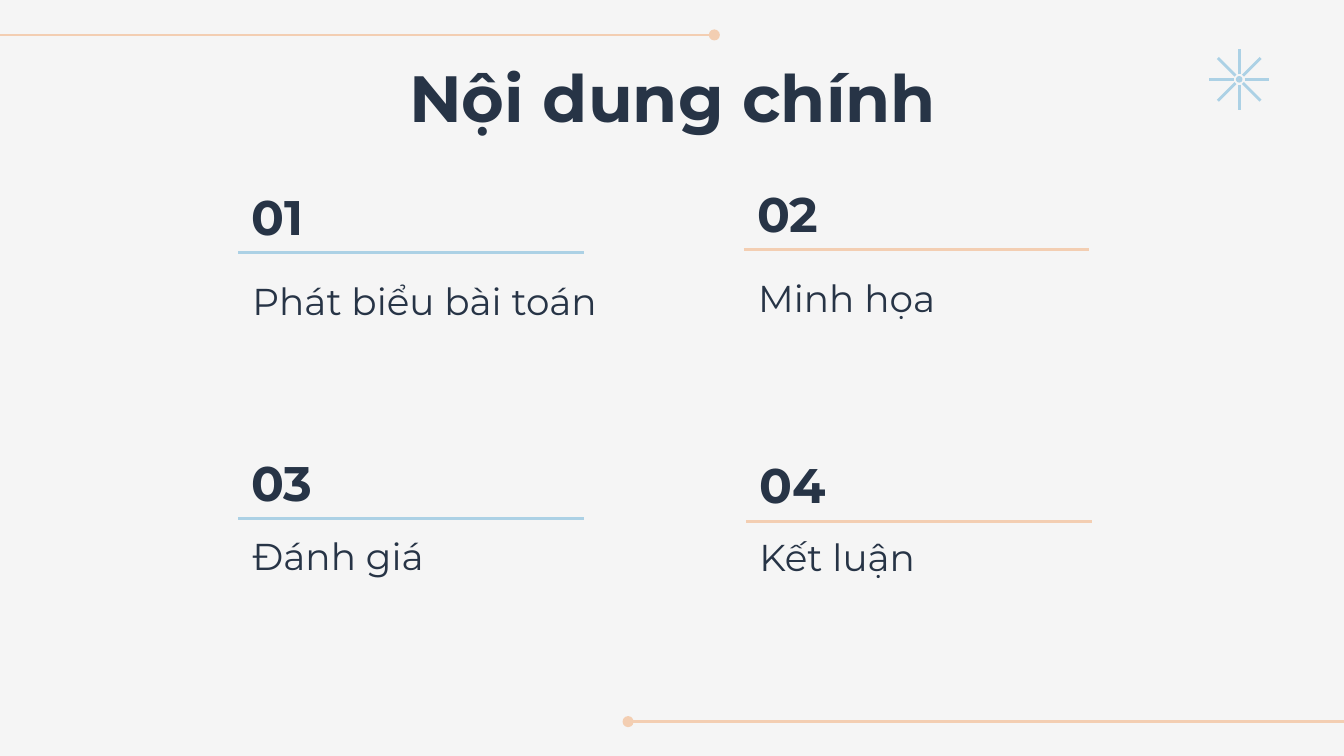
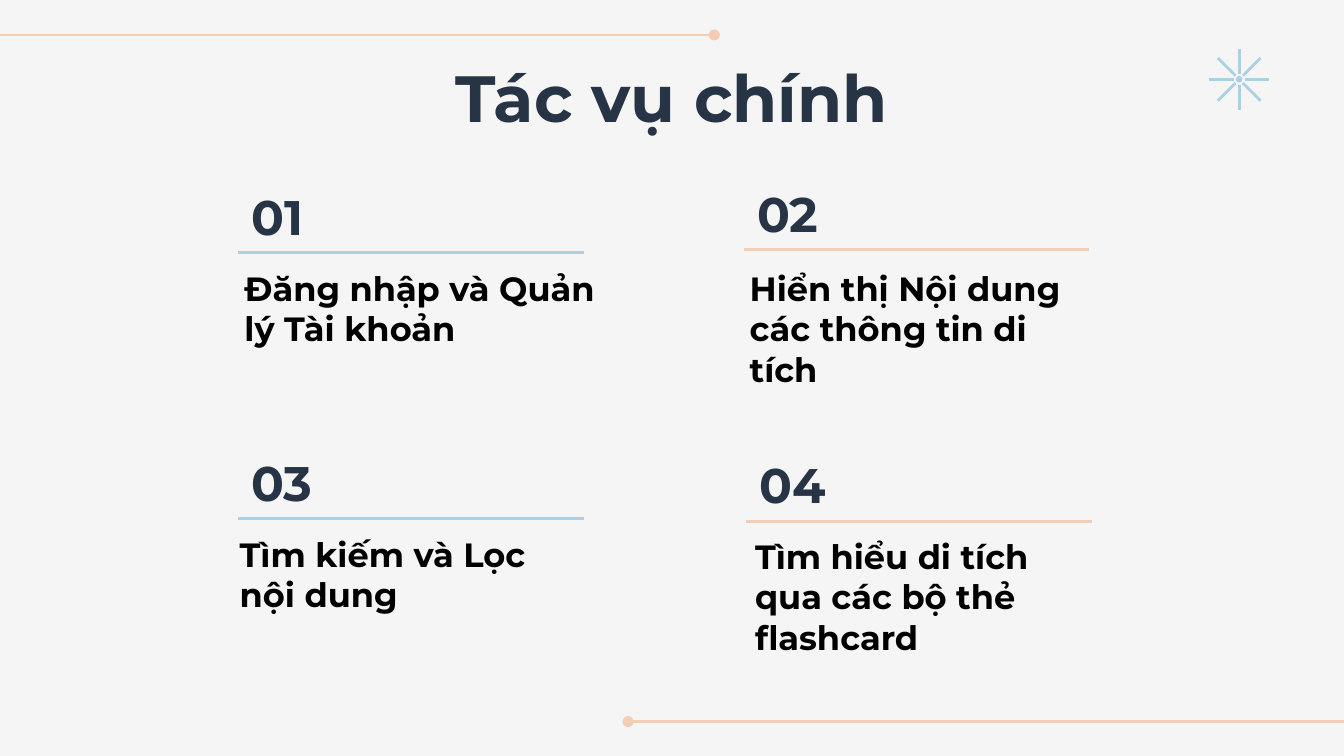
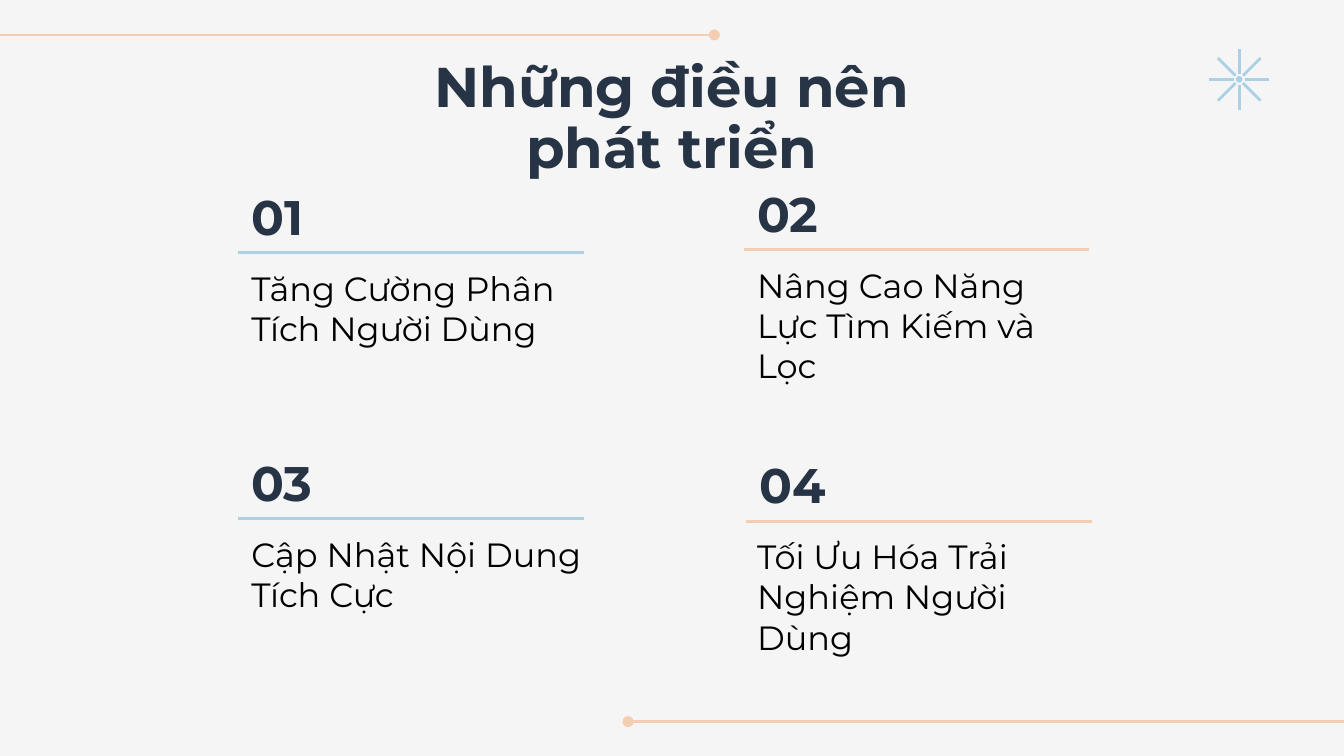
import math

import pptx
import pptx.dml.color
import pptx.enum.shapes
import pptx.enum.text
import pptx.oxml
import pptx.oxml.ns
import pptx.util

Cm = pptx.util.Cm
Pt = pptx.util.Pt
ANCHOR = pptx.enum.text.MSO_ANCHOR
ALIGN = pptx.enum.text.PP_ALIGN

FONT = "Montserrat"
PAPER, NAVY, BLACK = "F5F5F5", "273446", "000000"
PEACH, BLUE, CORAL = "F3CEB2", "ACD1E5", "FCA8A2"

RULES = [(4.5, 4.78, BLUE), (14.06, 4.72, PEACH), (4.5, 9.8, BLUE), (14.1, 9.85, PEACH)]
RULE_WIDTH = 6.53
NUMBER_RISE, NUMBER_SIZE = 1.45, (6.7, 1.65)
STAR_CENTRE, STAR_RAYS, STAR_INNER, STAR_OUTER = (23.42, 1.5), 8, 0.1, 0.57
STAR_DOT = 0.07

SLIDES = [
    {
        "title": ("Nội dung chính", 35, (7.14, 1.12, 11.15, 1.6)),
        "style": (20, NAVY, False),
        "items": [
            ("Phát biểu bài toán", (4.52, 5.05, 7.5, 1.3)),
            ("Minh họa", (14.08, 5.0, 6.8, 1.3)),
            ("Đánh giá", (4.52, 10.0, 6.93, 1.17)),
            ("Kết luận", (14.1, 10.03, 6.7, 1.17)),
        ],
    },
    {
        "title": ("Tác vụ chính", 35, (7.54, 1.12, 10.31, 1.6)),
        "style": (18, BLACK, True),
        "items": [
            ("Đăng nhập và Quản lý Tài khoản", (4.37, 4.78, 7.5, 2.06)),
            ("Hiển thị Nội dung các thông tin di tích", (13.92, 4.78, 6.8, 2.82)),
            ("Tìm kiếm và Lọc nội dung", (4.28, 9.8, 6.93, 2.06)),
            ("Tìm hiểu di tích qua các bộ thẻ flashcard", (14.02, 9.85, 6.8, 2.82)),
        ],
    },
    {
        "title": ("Những điều nên phát triển", 30, (7.54, 0.86, 10.31, 2.82)),
        "style": (18, BLACK, False),
        "items": [
            ("Tăng Cường Phân Tích Người Dùng", (4.5, 4.78, 7.5, 2.06)),
            ("Nâng Cao Năng Lực Tìm Kiếm và Lọc", (14.06, 4.72, 6.8, 2.82)),
            ("Cập Nhật Nội Dung Tích Cực", (4.5, 9.8, 6.93, 2.06)),
            ("Tối Ưu Hóa Trải Nghiệm Người Dùng", (14.06, 9.85, 6.7, 2.82)),
        ],
    },
]


def colour(value):
    """Turn a hex string into a colour."""
    return pptx.dml.color.RGBColor.from_string(value)


def add_line(slide, start, end, line_colour, oval_end=None):
    """Draw a line, with an oval at its headEnd or tailEnd if asked."""
    connector = slide.shapes.add_connector(
        pptx.enum.shapes.MSO_CONNECTOR.STRAIGHT, *map(Cm, (*start, *end)))
    connector.line.color.rgb = colour(line_colour)
    connector.line.width = Pt(1.5)
    properties = connector.element.spPr
    if oval_end:
        outline = properties.find(pptx.oxml.ns.qn("a:ln"))
        outline.append(pptx.oxml.parse_xml(
            f'<a:{oval_end} {pptx.oxml.ns.nsdecls("a")} type="oval"/>'))
    properties.append(pptx.oxml.parse_xml(f'<a:effectLst {pptx.oxml.ns.nsdecls("a")}/>'))


def write(shape, text, size, text_colour, bold, anchor, align=ALIGN.LEFT, spacing=1.0):
    """Fill a shape with one styled paragraph."""
    frame = shape.text_frame
    frame.text = text
    frame.word_wrap = True
    frame.auto_size = pptx.enum.text.MSO_AUTO_SIZE.NONE
    frame.vertical_anchor = anchor
    frame.margin_left = frame.margin_right = Cm(0.25)
    frame.margin_top = frame.margin_bottom = Cm(0.25)
    paragraph = frame.paragraphs[0]
    paragraph.alignment = align
    paragraph.line_spacing = spacing
    paragraph.space_before = Pt(0)
    paragraph.font.name = FONT
    paragraph.font.size = Pt(size)
    paragraph.font.bold = bold
    paragraph.font.color.rgb = colour(text_colour)


def add_decoration(slide):
    """Draw the two edge lines and the star."""
    add_line(slide, (0, 0.66), (13.5, 0.66), PEACH, "tailEnd")
    add_line(slide, (11.87, 13.64), (25.4, 13.64), PEACH, "headEnd")
    x, y = STAR_CENTRE
    for ray in range(STAR_RAYS):
        angle = 2 * math.pi * ray / STAR_RAYS
        start, end = [(x + radius * math.cos(angle), y + radius * math.sin(angle))
                      for radius in (STAR_INNER, STAR_OUTER)]
        add_line(slide, start, end, BLUE)
    dot = slide.shapes.add_shape(
        pptx.enum.shapes.MSO_SHAPE.OVAL, Cm(x - STAR_DOT / 2), Cm(y - STAR_DOT / 2),
        Cm(STAR_DOT), Cm(STAR_DOT))
    dot.shadow.inherit = False
    dot.fill.solid()
    dot.fill.fore_color.rgb = colour(CORAL)
    dot.line.color.rgb = colour(BLUE)
    dot.line.width = Pt(1.5)


def add_title(slide, text, size, box):
    """Place and format the title placeholder."""
    title = slide.shapes.title
    title.left, title.top, title.width, title.height = map(Cm, box)
    write(title, text, size, NAVY, True, ANCHOR.MIDDLE, ALIGN.CENTER, 0.9)


def add_items(slide, items, style):
    """Add the numbered items with their rules."""
    for number, ((text, box), (x, y, rule_colour)) in enumerate(zip(items, RULES), 1):
        heading = slide.shapes.add_textbox(*map(Cm, (x, y - NUMBER_RISE, *NUMBER_SIZE)))
        write(heading, f"{number:02}", 26, NAVY, True, ANCHOR.MIDDLE, spacing=0.9)
        label = slide.shapes.add_textbox(*map(Cm, box))
        write(label, text, *style, ANCHOR.BOTTOM)
        add_line(slide, (x, y), (x + RULE_WIDTH, y), rule_colour)


def main():
    """Build and save the presentation."""
    presentation = pptx.Presentation()
    presentation.slide_width, presentation.slide_height = Cm(25.4), Cm(14.29)
    background = presentation.slide_master.background.fill
    background.solid()
    background.fore_color.rgb = colour(PAPER)
    for content in SLIDES:
        slide = presentation.slides.add_slide(presentation.slide_layouts[5])
        add_decoration(slide)
        add_title(slide, *content["title"])
        add_items(slide, content["items"], content["style"])
    presentation.save("out.pptx")


if __name__ == "__main__":
    main()
